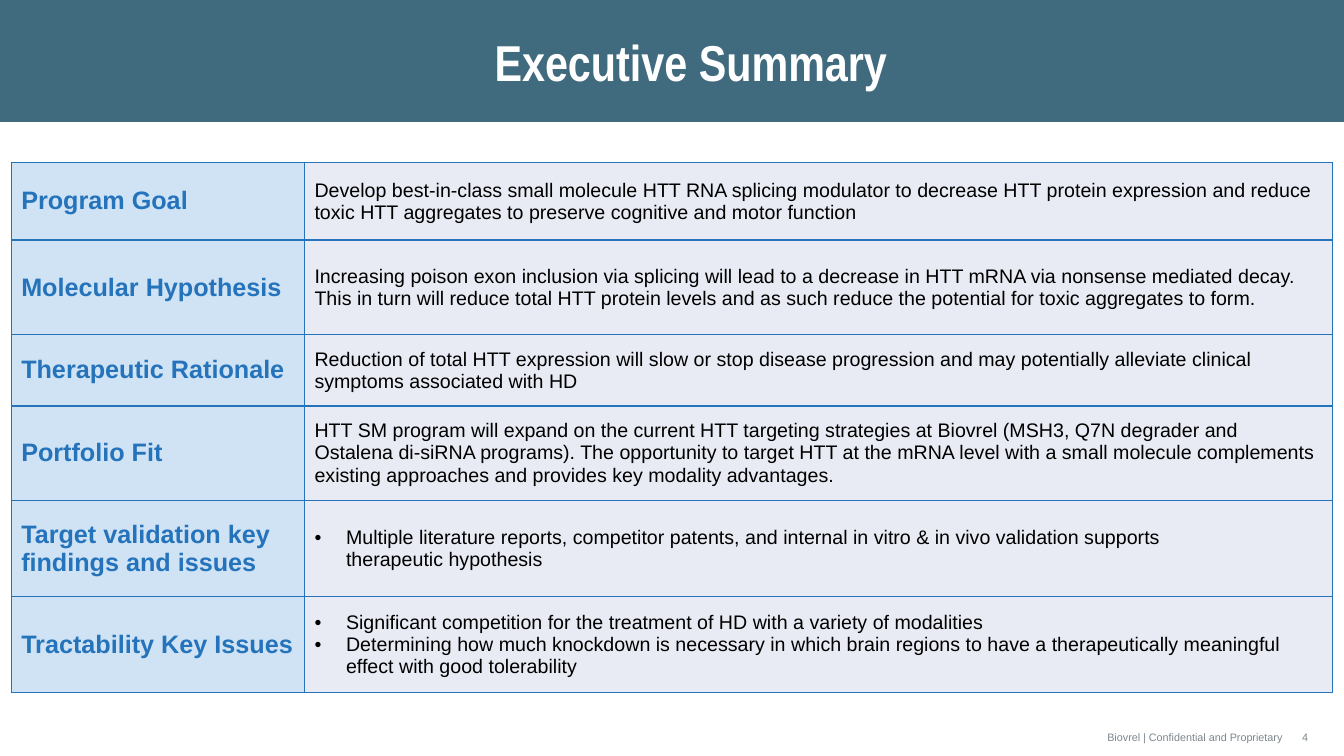
from dataclasses import dataclass

from lxml.etree import SubElement
from pptx import Presentation
from pptx.dml.color import RGBColor
from pptx.enum.text import MSO_ANCHOR as Anchor, PP_ALIGN as Align
from pptx.oxml.ns import qn
from pptx.util import Pt


@dataclass(frozen=True)
class Theme:
    banner: str = "013952"
    banner_opacity: int = 75
    white: str = "FFFFFF"
    accent: str = "2573BA"
    topic_fill: str = "CFE3F5"
    detail_fill: str = "E8EBF3"
    ink: str = "000000"
    footer: str = "7C878E"
    font: str = "Arial"
    title_font: str = "Arial Narrow"
    title_size: float = 36
    topic_size: float = 18
    detail_size: float = 14
    footer_size: float = 13.3
    border: float = 1
    bullet_indent: float = 22.5


@dataclass(frozen=True)
class SummaryRow:
    topic: str
    details: tuple[str, ...]
    height: float
    bulleted: bool = False


@dataclass(frozen=True)
class FooterItem:
    text: str
    left: float
    width: float
    align: Align


THEME = Theme()
NO_BREAK_SPACE = chr(160)
TABLE_LEFT, TABLE_TOP = 8, 116
COLUMN_WIDTHS = (209.5, 734.5)
FOOTER_TOP, FOOTER_HEIGHT = 511, 29

SUMMARY = (
    SummaryRow("Program Goal", (
        "Develop best-in-class small molecule HTT RNA splicing modulator to decrease HTT protein "
        "expression and reduce toxic HTT aggregates to preserve cognitive and motor function",), 55.5),
    SummaryRow("Molecular Hypothesis", (
        "Increasing poison exon inclusion via splicing will lead to a decrease in HTT mRNA via "
        "nonsense mediated decay. This in turn will reduce total HTT protein levels and as such "
        "reduce the potential for toxic aggregates to form.",), 67.5),
    SummaryRow("Therapeutic Rationale", (
        "Reduction of total HTT expression will slow or stop disease progression and may "
        f"potentially{NO_BREAK_SPACE}alleviate clinical symptoms associated with HD",), 51),
    SummaryRow("Portfolio Fit", (
        "HTT SM program will expand on the current HTT targeting strategies at Biovrel (MSH3, Q7N "
        "degrader and Ostalena di-siRNA programs). The opportunity to target HTT at the mRNA level "
        "with a small molecule complements existing approaches and provides key modality "
        "advantages.",), 67.5),
    SummaryRow("Target validation key findings and issues", (
        "Multiple literature reports, competitor patents, and internal in vitro & in vivo "
        f"validation supports therapeutic{NO_BREAK_SPACE}hypothesis",), 68.5, True),
    SummaryRow("Tractability Key Issues", (
        "Significant competition for the treatment of HD with a variety of modalities",
        "Determining how much knockdown is necessary in which brain regions to have a "
        "therapeutically meaningful effect with good tolerability"), 68.5, True),
)

FOOTER = (
    FooterItem("Biovrel | Confidential and Proprietary", 619, 304, Align.RIGHT),
    FooterItem("4", 923, 37, Align.LEFT),
)


def style(paragraph, size: float, color: str, bold: bool = False, face: str = THEME.font) -> None:
    font = paragraph.font
    font.name, font.size, font.bold = face, Pt(size), bold
    font.color.rgb = RGBColor.from_string(color)


def add_bullet(paragraph) -> None:
    properties = paragraph._p.get_or_add_pPr()
    properties.set("marL", str(Pt(THEME.bullet_indent)))
    properties.set("indent", str(-Pt(THEME.bullet_indent)))
    SubElement(properties, qn("a:buFont"), typeface=THEME.font)
    SubElement(properties, qn("a:buChar"), char="•")


def add_banner(slide, text: str) -> None:
    banner = slide.shapes.title
    banner.left, banner.top, banner.width, banner.height = Pt(0), Pt(0), Pt(960), Pt(87)
    banner.fill.solid()
    banner.fill.fore_color.rgb = RGBColor.from_string(THEME.banner)
    tint = banner._element.spPr.find(qn("a:solidFill"))[0]
    SubElement(tint, qn("a:alpha"), val=str(THEME.banner_opacity * 1000))
    frame = banner.text_frame
    frame.text = text
    frame.vertical_anchor = Anchor.MIDDLE
    heading = frame.paragraphs[0]
    heading.alignment = Align.CENTER
    heading._p.get_or_add_pPr().set("marL", str(Pt(27)))
    style(heading, THEME.title_size, THEME.white, True, THEME.title_font)


def fill_cell(cell, lines: tuple[str, ...], fill: str, size: float, color: str,
              bold: bool = False, bulleted: bool = False) -> None:
    # Borders come before the fill in the cell properties
    properties = cell._tc.get_or_add_tcPr()
    for side in ("lnL", "lnR", "lnT", "lnB"):
        edge = SubElement(properties, qn(f"a:{side}"), w=str(Pt(THEME.border)))
        SubElement(SubElement(edge, qn("a:solidFill")), qn("a:srgbClr"), val=THEME.accent)
    cell.fill.solid()
    cell.fill.fore_color.rgb = RGBColor.from_string(fill)
    cell.vertical_anchor = Anchor.MIDDLE
    cell.text = "\n".join(lines)
    for paragraph in cell.text_frame.paragraphs:
        if bulleted:
            add_bullet(paragraph)
        style(paragraph, size, color, bold)


def add_summary(slide, rows: tuple[SummaryRow, ...]) -> None:
    table = slide.shapes.add_table(
        len(rows), len(COLUMN_WIDTHS), Pt(TABLE_LEFT), Pt(TABLE_TOP),
        Pt(sum(COLUMN_WIDTHS)), Pt(sum(row.height for row in rows))).table
    table.first_row = table.horz_banding = False
    for column, width in zip(table.columns, COLUMN_WIDTHS):
        column.width = Pt(width)
    for index, row in enumerate(rows):
        table.rows[index].height = Pt(row.height)
        fill_cell(table.cell(index, 0), (row.topic,), THEME.topic_fill,
                  THEME.topic_size, THEME.accent, bold=True)
        fill_cell(table.cell(index, 1), row.details, THEME.detail_fill,
                  THEME.detail_size, THEME.ink, bulleted=row.bulleted)


def add_footer(slide, item: FooterItem) -> None:
    frame = slide.shapes.add_textbox(
        Pt(item.left), Pt(FOOTER_TOP), Pt(item.width), Pt(FOOTER_HEIGHT)).text_frame
    frame.word_wrap = True
    frame.vertical_anchor = Anchor.BOTTOM
    frame.text = item.text
    line = frame.paragraphs[0]
    line.alignment = item.align
    style(line, THEME.footer_size, THEME.footer)
    # Raised small text
    line.runs[0]._r.get_or_add_rPr().set("baseline", "30000")


def main() -> None:
    deck = Presentation()
    deck.slide_width, deck.slide_height = Pt(960), Pt(540)
    slide = deck.slides.add_slide(deck.slide_layouts[5])
    # Title banner
    add_banner(slide, "Executive Summary")
    # Summary table
    add_summary(slide, SUMMARY)
    # Footer line and page number
    for item in FOOTER:
        add_footer(slide, item)
    deck.save("out.pptx")


if __name__ == "__main__":
    main()
